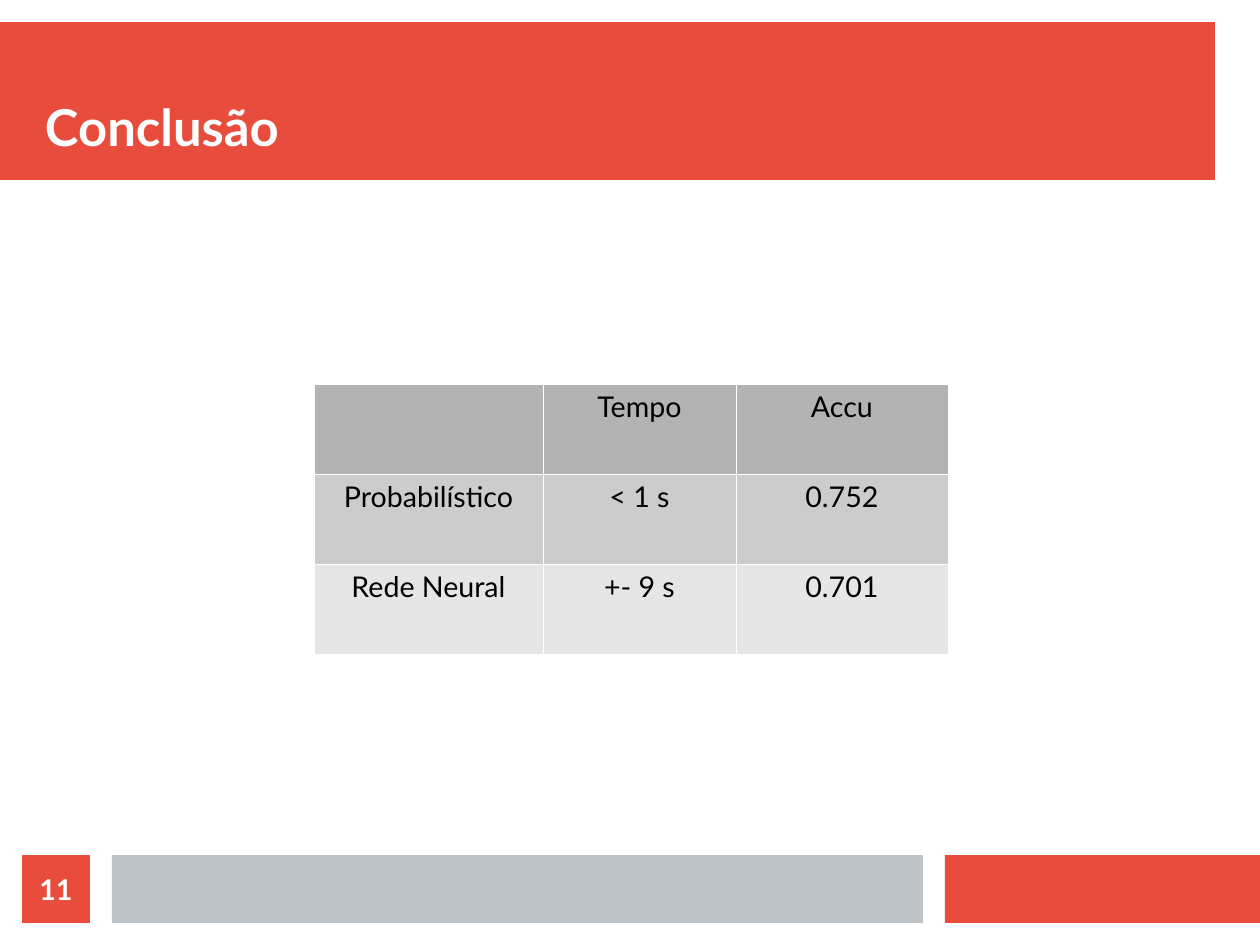
import lxml.etree
import pptx
import pptx.dml.color
import pptx.enum.shapes
import pptx.enum.text
import pptx.oxml.ns
import pptx.util

SCALE = 8000
FONT = "Lato"
COLOURS = {
    "red": "E74C3C", "grey": "BDC3C7", "white": "FFFFFF", "black": "000000",
    "head": "B3B3B3", "first": "CCCCCC", "second": "E6E6E6",
}
ANCHOR = pptx.enum.text.MSO_ANCHOR
ALIGN = pptx.enum.text.PP_ALIGN
NO_INSETS = dict.fromkeys(("margin_left", "margin_top", "margin_right", "margin_bottom"), 0)
ROWS = [
    ("head", ("", "Tempo", "Accu")),
    ("first", ("Probabilístico", "< 1 s", "0.752")),
    ("second", ("Rede Neural", "+- 9 s", "0.701")),
]
COLUMN_SHARES = (229, 193, 212)


def px(length):
    """Turn px into EMU."""
    return pptx.util.Emu(round(length * SCALE))


def rgb(name):
    """Look up a named colour."""
    return pptx.dml.color.RGBColor.from_string(COLOURS[name])


def set_all(target, values):
    """Set each attribute in values on target."""
    for name, value in values.items():
        setattr(target, name, value)


def paint(target, colour):
    """Give a shape or cell a solid fill."""
    target.fill.solid()
    target.fill.fore_color.rgb = rgb(colour)


def write(frame, text, size, colour, bold, align):
    """Write one formatted line into a text frame."""
    para = frame.paragraphs[0]
    para.alignment = align
    span = para.add_run()
    span.text = text
    set_all(span.font, {"name": FONT, "size": pptx.util.Pt(size), "bold": bold})
    span.font.color.rgb = rgb(colour)


def add_block(page, box, colour):
    """Add a plain filled rectangle."""
    block = page.shapes.add_shape(
        pptx.enum.shapes.MSO_SHAPE.RECTANGLE, *map(px, box))
    block.shadow.inherit = False
    paint(block, colour)
    block.line.fill.background()
    return block


def add_header(page, box):
    """Place the red band and the title on it."""
    left, top, width, height = box
    add_block(page, box, "red")
    title = page.shapes.title
    page.shapes._spTree.append(title._element)
    indent = 45
    set_all(title, {"left": px(left + indent), "top": px(top + 22),
                    "width": px(width - indent), "height": px(height - 45)})
    set_all(title.text_frame, {
        **NO_INSETS, "vertical_anchor": ANCHOR.BOTTOM, "word_wrap": True,
        "auto_size": pptx.enum.text.MSO_AUTO_SIZE.NONE})
    write(title.text_frame, "Conclusão", 32, "white", True, ALIGN.LEFT)


def add_borders(cell, colour):
    """Draw hairlines on the four sides of a cell."""
    qn = pptx.oxml.ns.qn
    properties = cell._tc.get_or_add_tcPr()
    for place, side in enumerate(("a:lnL", "a:lnR", "a:lnT", "a:lnB")):
        line = lxml.etree.Element(qn(side), w="720")
        fill = lxml.etree.SubElement(line, qn("a:solidFill"))
        lxml.etree.SubElement(fill, qn("a:srgbClr"), val=COLOURS[colour])
        properties.insert(place, line)


def add_results(page, box):
    """Place the table of results."""
    table = page.shapes.add_table(
        len(ROWS), len(COLUMN_SHARES), *map(px, box)).table
    set_all(table, {"first_row": False, "horz_banding": False})
    for column, share in zip(table.columns, COLUMN_SHARES):
        column.width = px(box[2] * share / sum(COLUMN_SHARES))
    for r, (fill, texts) in enumerate(ROWS):
        table.rows[r].height = px(box[3] / len(ROWS))
        for c, text in enumerate(texts):
            cell = table.cell(r, c)
            paint(cell, fill)
            add_borders(cell, "white")
            if text:
                write(cell.text_frame, text, 18, "black", False, ALIGN.CENTER)


def add_footer(page, box):
    """Place the page number square and the two bars beside it."""
    left, top, width, height = box
    gap, red_width = 22, 315
    bar_left = left + height + gap
    red_left = left + width - red_width
    add_block(page, (red_left, top, red_width, height), "red")
    add_block(page, (bar_left, top, red_left - gap - bar_left, height), "grey")
    number = add_block(page, (left, top, height, height), "red")
    set_all(number.text_frame, {**NO_INSETS, "vertical_anchor": ANCHOR.MIDDLE})
    write(number.text_frame, "11", 18, "white", True, ALIGN.CENTER)


def main():
    """Build the deck and save it."""
    deck = pptx.Presentation()
    set_all(deck, {"slide_width": px(1260), "slide_height": px(945)})
    page = deck.slides.add_slide(deck.slide_layouts[5])
    add_header(page, (0, 22, 1215, 158))
    add_results(page, (314, 384, 634, 270))
    add_footer(page, (22, 855, 1238, 68))
    deck.save("out.pptx")


if __name__ == "__main__":
    main()
